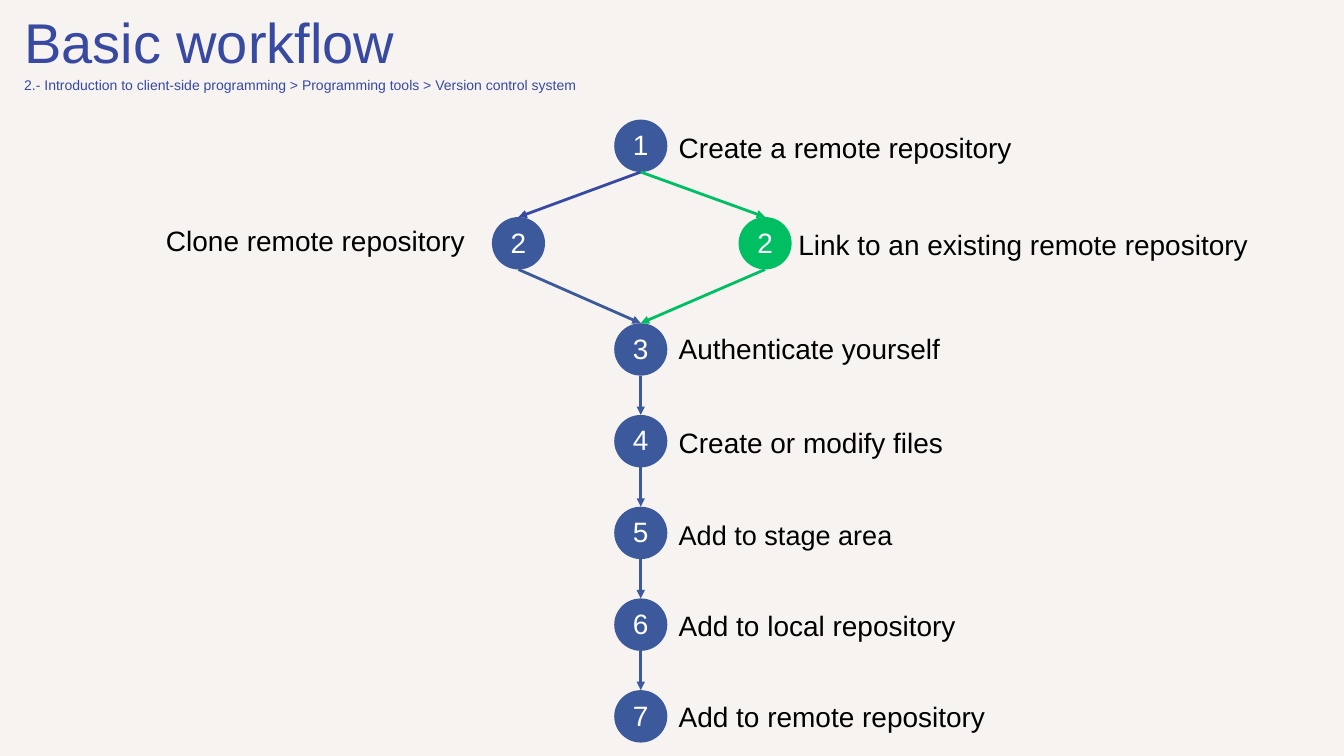
import pptx
import pptx.dml.color
import pptx.enum.shapes
import pptx.enum.text
import pptx.oxml
import pptx.oxml.ns
import pptx.util
from pptx.util import Inches

BACKGROUND = "F6F3F1"
INDIGO = "3849A2"
BLUE = "3B599B"
GREEN = "00BF63"
WHITE = "FFFFFF"
BLACK = "000000"

CIRCLE_WIDTH, CIRCLE_HEIGHT = 0.79, 0.78
SPINE_LEFT, CLONE_LEFT, LINK_LEFT = 9.14, 7.32, 10.99
START_TOP, BRANCH_TOP, MERGE_TOP, LAST_TOP = 1.78, 3.23, 4.81, 10.27
LABEL_LEFT, LABEL_WIDTH = 10.1, 7.63

# Label, label top, text size of the steps after the two branches meet
MERGED_STEPS = [
    ("Authenticate yourself", 4.81, 30),
    ("Create or modify files", 6.21, 30),
    ("Add to stage area", 7.59, 29),
    ("Add to local repository", 8.93, 30),
    ("Add to remote repository", 10.29, 30),
]


def color(hex_text):
    return pptx.dml.color.RGBColor.from_string(hex_text)


def write_text(shape, text, *, size=30, fill=BLACK, spacing=1.1, centred=False):
    """Fill a shape with one paragraph; spacing is a multiple of the size."""
    frame = shape.text_frame
    frame.word_wrap = True
    frame.margin_left = frame.margin_right = 0
    frame.margin_top = frame.margin_bottom = 0
    anchors = pptx.enum.text.MSO_ANCHOR
    frame.vertical_anchor = anchors.MIDDLE if centred else anchors.TOP
    paragraph = frame.paragraphs[0]
    alignments = pptx.enum.text.PP_ALIGN
    paragraph.alignment = alignments.CENTER if centred else alignments.LEFT
    paragraph.line_spacing = pptx.util.Pt(size * spacing)
    run = paragraph.add_run()
    run.text = text
    run.font.name = "Arial"
    run.font.size = pptx.util.Pt(size)
    run.font.color.rgb = color(fill)


class WorkflowSlide:
    """Holds the slide and the style of its elements."""

    line_width = pptx.util.Pt(3)

    def __init__(self, presentation):
        self.slide = presentation.slides.add_slide(presentation.slide_layouts[6])
        background = self.slide.background.fill
        background.solid()
        background.fore_color.rgb = color(BACKGROUND)

    def text(self, text, left, top, width, height, **text_format):
        shape = self.slide.shapes.add_textbox(
            Inches(left), Inches(top), Inches(width), Inches(height))
        write_text(shape, text, **text_format)
        shape.text_frame.auto_size = pptx.enum.text.MSO_AUTO_SIZE.SHAPE_TO_FIT_TEXT

    def label(self, text, left, top, width=LABEL_WIDTH, size=30):
        self.text(text, left, top, width, 0.61, size=size, spacing=1.5)

    def circle(self, number, left, top, fill=BLUE):
        shape = self.slide.shapes.add_shape(
            pptx.enum.shapes.MSO_SHAPE.OVAL, Inches(left), Inches(top),
            Inches(CIRCLE_WIDTH), Inches(CIRCLE_HEIGHT))
        shape.shadow.inherit = False
        shape.fill.solid()
        shape.fill.fore_color.rgb = color(fill)
        shape.line.fill.background()
        write_text(shape, str(number), fill=WHITE, centred=True)
        return shape

    def arrow(self, source, target, fill=BLUE):
        """Point from the bottom of one circle to the top of another."""
        connector = self.slide.shapes.add_connector(
            pptx.enum.shapes.MSO_CONNECTOR.STRAIGHT,
            source.left + source.width // 2, source.top + source.height,
            target.left + target.width // 2, target.top)
        connector.end_connect(target, 0)
        connector.line.width = self.line_width
        connector.line.color.rgb = color(fill)
        namespace = pptx.oxml.ns.nsdecls("a")
        connector.line._get_or_add_ln().append(
            pptx.oxml.parse_xml(f'<a:tailEnd {namespace} type="triangle"/>'))
        connector._element.spPr.append(
            pptx.oxml.parse_xml(f"<a:effectLst {namespace}/>"))


def main():
    presentation = pptx.Presentation()
    presentation.slide_width = Inches(20)
    presentation.slide_height = Inches(11.25)
    workflow = WorkflowSlide(presentation)

    workflow.text("Basic workflow", 0.36, 0.2, 18.9, 0.96, size=60, fill=INDIGO)
    workflow.text(
        "2.- Introduction to client-side programming > Programming tools"
        " > Version control system",
        0.36, 1.16, 14.69, 0.24, size=15, fill=INDIGO)

    start = workflow.circle(1, SPINE_LEFT, START_TOP)
    clone = workflow.circle(2, CLONE_LEFT, BRANCH_TOP)
    link = workflow.circle(2, LINK_LEFT, BRANCH_TOP, GREEN)
    workflow.label("Create a remote repository", LABEL_LEFT, 1.81, 8.49)
    workflow.label("Clone remote repository", 2.47, 3.2, 4.52)
    workflow.label("Link to an existing remote repository", 11.88, 3.26, 6.86)

    step_gap = (LAST_TOP - MERGE_TOP) / (len(MERGED_STEPS) - 1)
    circles = []
    for index, (text, label_top, size) in enumerate(MERGED_STEPS):
        circles.append(workflow.circle(
            index + 3, SPINE_LEFT, MERGE_TOP + index * step_gap))
        workflow.label(text, LABEL_LEFT, label_top, size=size)

    workflow.arrow(start, clone, INDIGO)
    workflow.arrow(clone, circles[0])
    workflow.arrow(start, link, GREEN)
    workflow.arrow(link, circles[0], GREEN)
    for source, target in zip(circles, circles[1:]):
        workflow.arrow(source, target)

    presentation.save("out.pptx")


if __name__ == "__main__":
    main()
